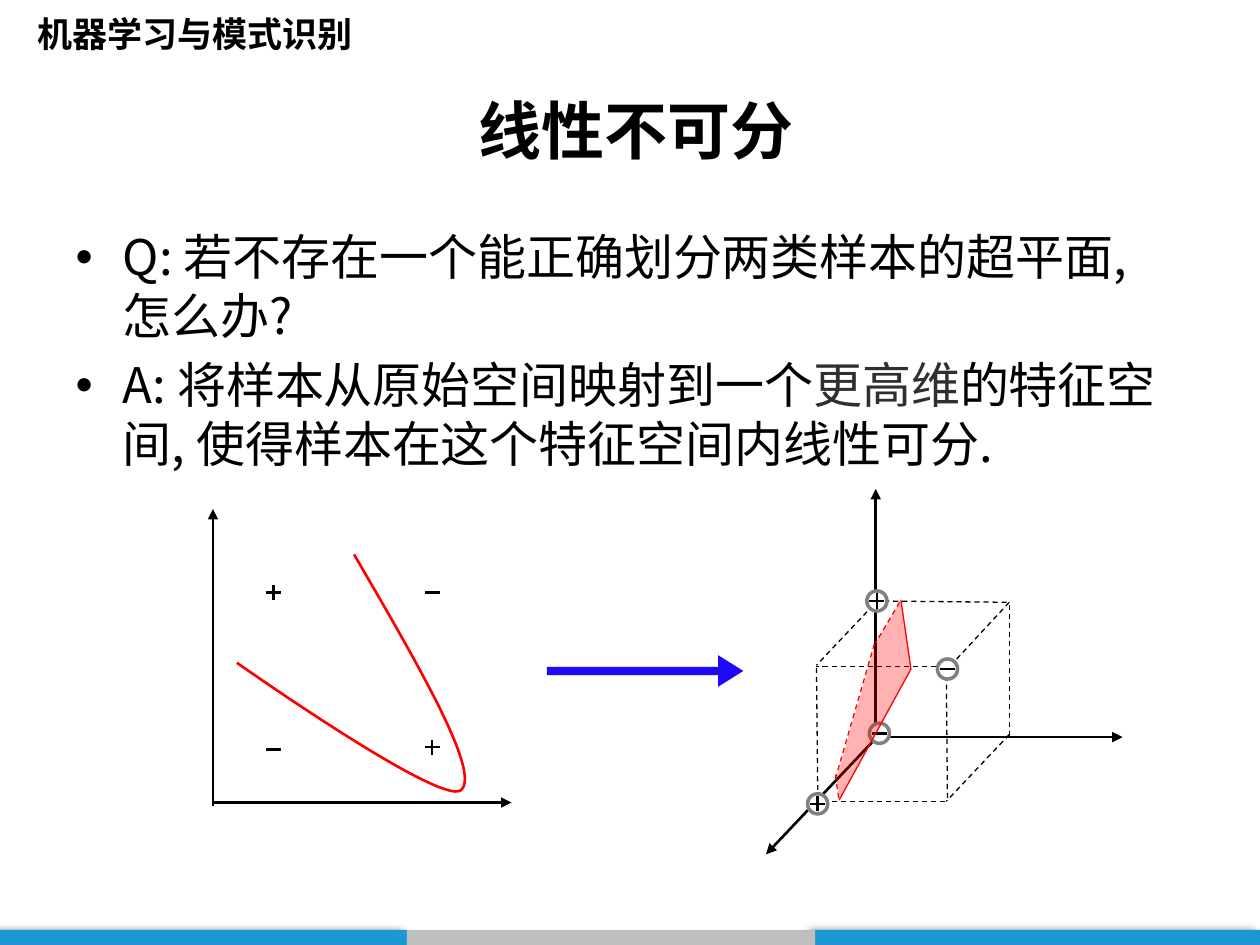
import pptx
import pptx.util
import pptx.dml.color
import pptx.enum.dml
import pptx.enum.shapes
import pptx.enum.text
import pptx.oxml
import pptx.oxml.ns
from pptx.util import Inches

RGBColor = pptx.dml.color.RGBColor
SHAPES = pptx.enum.shapes.MSO_SHAPE
BLACK = RGBColor(0x00, 0x00, 0x00)
WHITE = RGBColor(0xFF, 0xFF, 0xFF)
RED = RGBColor(0xFF, 0x00, 0x00)
GRAY = RGBColor(0x80, 0x80, 0x80)
DARK_GRAY = RGBColor(0x2F, 0x2F, 0x2F)
BAR_GRAY = RGBColor(0xBF, 0xBF, 0xBF)
BAR_BLUE = RGBColor(0x1B, 0x97, 0xD4)
ARROW_BLUE = RGBColor(0x1D, 0x09, 0xF8)
BODY_FONT = "Noto Sans CJK SC"
NAMESPACE = pptx.oxml.ns.nsdecls("a")

presentation = pptx.Presentation()
presentation.slide_width = Inches(10)
presentation.slide_height = Inches(7.5)
slide = presentation.slides.add_slide(presentation.slide_layouts[1])


def add_line(start, end, color=BLACK, width=1.5, dashed=False, arrow=False):
    line = slide.shapes.add_connector(
        pptx.enum.shapes.MSO_CONNECTOR.STRAIGHT,
        *(Inches(value) for value in (*start, *end)))
    line.line.color.rgb = color
    line.line.width = pptx.util.Pt(width)
    if dashed:
        line.line.dash_style = pptx.enum.dml.MSO_LINE.DASH
    if arrow:
        line.line._get_or_add_ln().append(
            pptx.oxml.parse_xml(f'<a:tailEnd {NAMESPACE} type="triangle"/>'))
    line._element.spPr.append(pptx.oxml.parse_xml(f"<a:effectLst {NAMESPACE}/>"))


def add_filled(kind, left, top, width, height, color):
    shape = slide.shapes.add_shape(
        kind, Inches(left), Inches(top), Inches(width), Inches(height))
    shape.shadow.inherit = False
    shape.fill.solid()
    shape.fill.fore_color.rgb = color
    shape.line.fill.background()
    return shape


# Footer bars, the blue ones with a soft shadow to the left
for left, width, color in [(6.47, 3.53, BAR_BLUE), (0, 3.23, BAR_BLUE), (3.23, 3.24, BAR_GRAY)]:
    bar = add_filled(SHAPES.RECTANGLE, left, 7.38, width, 0.12, color)
    if color == BAR_BLUE:
        bar._element.spPr.find(pptx.oxml.ns.qn("a:effectLst")).append(pptx.oxml.parse_xml(
            f'<a:outerShdw {NAMESPACE} blurRad="50800" dist="38100" dir="10800000">'
            '<a:srgbClr val="000000"><a:alpha val="40000"/></a:srgbClr></a:outerShdw>'))

# Course name
course = slide.shapes.add_textbox(Inches(0.2), Inches(0.05), Inches(2.74), Inches(0.44))
course.text_frame.word_wrap = False
run = course.text_frame.paragraphs[0].add_run()
run.text = "机器学习与模式识别"
run.font.size = pptx.util.Pt(20)
run.font.name = "Calibri"
run.font.bold = True
run.font.color.rgb = BLACK

# Title
title = slide.shapes.title
title.left, title.top = Inches(1.93), Inches(0.6)
title.width, title.height = Inches(6.23), Inches(0.86)
paragraph = title.text_frame.paragraphs[0]
paragraph.alignment = pptx.enum.text.PP_ALIGN.CENTER
run = paragraph.add_run()
run.text = "线性不可分"
run.font.size = pptx.util.Pt(36)
run.font.name = "Arial"
run.font.bold = True
run.font.color.rgb = BLACK

# Question and answer
body = slide.placeholders[1]
body.left, body.top = Inches(0.5), Inches(1.75)
body.width, body.height = Inches(9), Inches(4.95)
statements = [
    [("Q: 若不存在一个能正确划分两类样本的超平面, 怎么办?", BLACK)],
    [("A: 将样本从原始空间映射到一个", BLACK), ("更高维", DARK_GRAY),
     ("的特征空间, 使得样本在这个特征空间内线性可分.", BLACK)],
]
for index, statement in enumerate(statements):
    frame = body.text_frame
    paragraph = frame.add_paragraph() if index else frame.paragraphs[0]
    paragraph.space_before = pptx.util.Pt(5.6 if index else 0)
    paragraph.line_spacing = pptx.util.Pt(33.7)
    for text, color in statement:
        run = paragraph.add_run()
        run.text = text
        run.font.size = pptx.util.Pt(28)
        run.font.color.rgb = color
        run.font.name = BODY_FONT
        run.font._element.append(
            pptx.oxml.parse_xml(f'<a:ea {NAMESPACE} typeface="{BODY_FONT}"/>'))

# Axes of the plane and of the space
for start, end in [
    ((1.69, 6.4), (1.69, 4.04)), ((1.69, 6.37), (4.06, 6.37)),
    ((6.95, 5.85), (6.95, 3.88)), ((6.94, 5.85), (8.91, 5.85)),
    ((6.96, 5.85), (6.08, 6.78)),
]:
    add_line(start, end, arrow=True)

# Curved boundary in the plane, sampled from two cubic Bezier pieces
curves = [
    [(2.81, 4.4), (3.31, 5.26), (3.82, 6.13), (3.66, 6.27)],
    [(3.66, 6.27), (3.51, 6.41), (1.88, 5.26), (1.88, 5.26)],
]
STEPS = 30
points = []
for curve in curves:
    for step in range(1, STEPS + 1):
        t = step / STEPS
        weights = ((1 - t) ** 3, 3 * t * (1 - t) ** 2, 3 * t ** 2 * (1 - t), t ** 3)
        points.append(tuple(
            Inches(sum(weight * point[axis] for weight, point in zip(weights, curve)))
            for axis in (0, 1)))
builder = slide.shapes.build_freeform(Inches(2.81), Inches(4.4))
builder.add_line_segments(points, close=False)
boundary = builder.convert_to_shape()
boundary.shadow.inherit = False
boundary.fill.background()
boundary.line.color.rgb = RED
boundary.line.width = pptx.util.Pt(1.5)

# Dashed cube edges
for start, end in [
    ((6.98, 4.75), (6.48, 5.28)), ((6.48, 5.3), (6.49, 6.27)),
    ((8.01, 4.8), (8.01, 5.86)), ((7.99, 4.78), (6.96, 4.77)),
    ((7.5, 6.36), (6.48, 6.36)), ((8.01, 5.83), (7.51, 6.36)),
    ((7.5, 5.29), (6.48, 5.29)), ((7.51, 5.29), (7.52, 6.36)),
    ((8.01, 4.78), (7.51, 5.32)),
]:
    add_line(start, end, width=0.75, dashed=True)

# Samples: centre, sign, and a ring for those in the space
ARM = 0.06
RADIUS = 0.08
for x, y, sign, ringed in [
    (3.43, 5.93, "+", False), (2.17, 4.7, "+", False),
    (3.43, 4.7, "-", False), (2.17, 5.95, "-", False),
    (6.49, 6.38, "+", True), (6.96, 4.77, "+", True),
    (7.52, 5.31, "-", True), (6.98, 5.82, "-", True),
]:
    if ringed:
        ring = add_filled(SHAPES.OVAL, x - RADIUS, y - RADIUS, 2 * RADIUS, 2 * RADIUS, WHITE)
        ring.line.color.rgb = GRAY
        ring.line.width = pptx.util.Pt(2)
    add_line((x - ARM, y), (x + ARM, y))
    if sign == "+":
        add_line((x, y - ARM), (x, y + ARM))

# Separating plane: edges, then the translucent face
for start, end, dashed in [
    ((7.15, 4.76), (7.23, 5.31), False), ((7.23, 5.31), (6.66, 6.35), False),
    ((7.14, 4.78), (6.95, 5.1), True), ((6.63, 6.15), (6.66, 6.36), True),
    ((6.94, 5.11), (6.63, 6.18), True),
]:
    add_line(start, end, RED, 0.75, dashed)
corners = [(7.23, 5.3), (6.66, 6.35), (6.64, 6.17), (6.95, 5.1)]
builder = slide.shapes.build_freeform(Inches(7.15), Inches(4.77))
builder.add_line_segments([(Inches(x), Inches(y)) for x, y in corners], close=True)
plane = builder.convert_to_shape()
plane.shadow.inherit = False
plane.fill.solid()
plane.fill.fore_color.rgb = RED
plane.line.fill.background()
plane._element.spPr.find(".//" + pptx.oxml.ns.qn("a:srgbClr")).append(
    pptx.oxml.parse_xml(f'<a:alpha {NAMESPACE} val="30000"/>'))

# Mapping arrow
arrow = add_filled(SHAPES.RIGHT_ARROW, 4.34, 5.2, 1.56, 0.25, ARROW_BLUE)
arrow.adjustments[0] = 0.26
arrow.adjustments[1] = 0.8

presentation.save("out.pptx")
